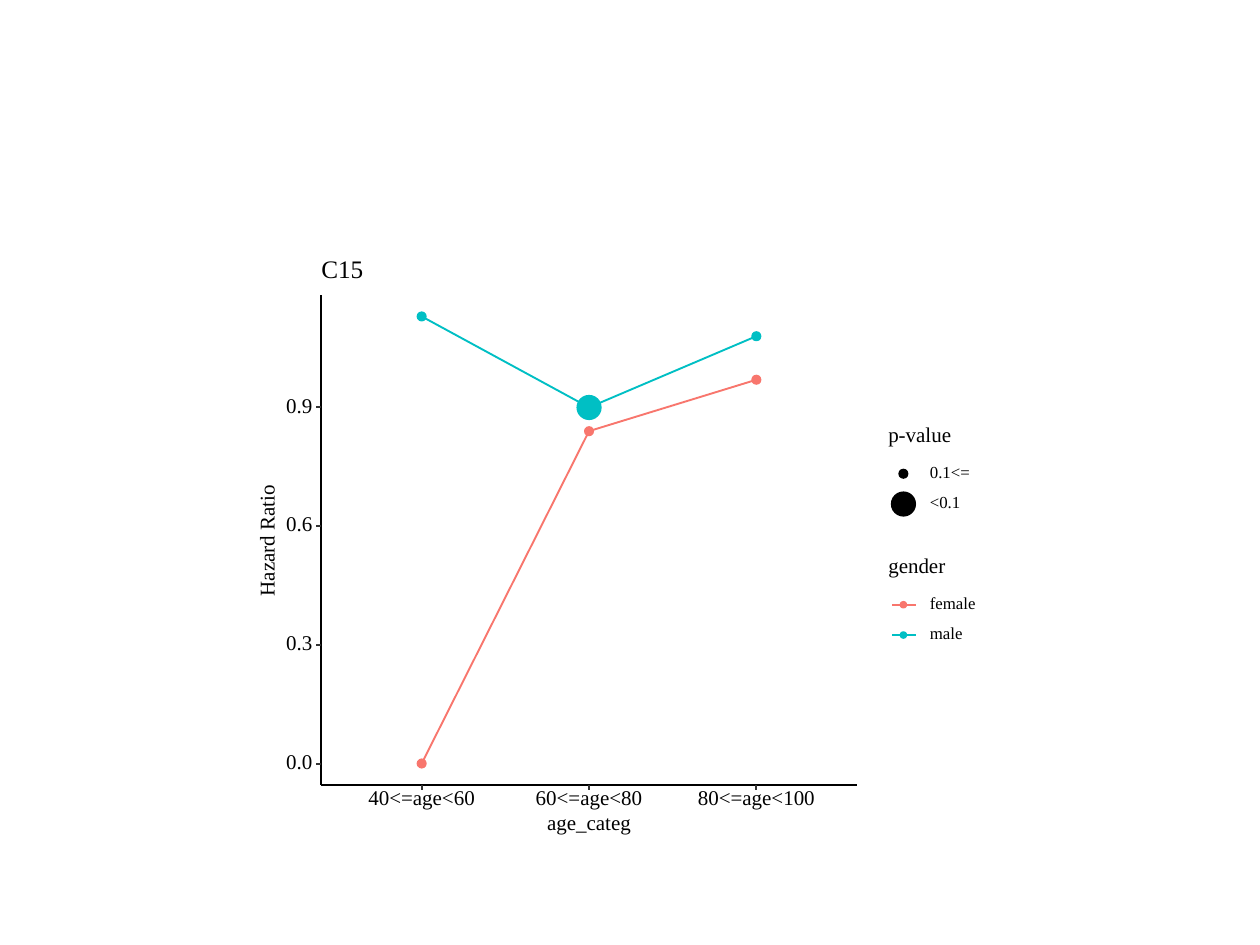
from lxml import etree
from pptx import Presentation
from pptx import util as u
from pptx.dml.color import RGBColor
from pptx.enum import shapes, text
from pptx.oxml.ns import qn

# Content
TITLE, X_TITLE, Y_TITLE = "C15", "age_categ", "Hazard Ratio"
AGES = [("40<=age<60", 0.87), ("60<=age<80", 0.87), ("80<=age<100", 0.95)]
Y_TICKS = [0.0, 0.3, 0.6, 0.9]
SERIES = [  # name, label width, colour, hazard ratios, p < 0.1
    ("female", 0.39, "F8766D", [0, 0.84, 0.97], [False, False, False]),
    ("male", 0.29, "00BFC4", [1.13, 0.9, 1.08], [False, True, False]),
]
P_SIZES = [("0.1<=", 0.35, False), ("<0.1", 0.27, True)]

# Layout in inches
FONT = "Times New Roman"
LEFT, TOP, RIGHT, BOTTOM = 2.55, 2.34, 6.8, 6.23
ZERO_Y, UNIT = 6.06, 3.14
X_STEP = (RIGHT - LEFT) / 3.2  # 0.6 of a step is left free at each end
TICK = 0.04
DOT = {False: 0.07, True: 0.19}
LEGEND_X, LEGEND_ROW = 6.97, 0.24
KEY_X, LABEL_X = LEGEND_X + 0.2, LEGEND_X + 0.41


def rgb(hex_):
    return RGBColor.from_string(hex_)


def x_at(i):
    return LEFT + (0.6 + i) * X_STEP


def y_at(value):
    return ZERO_Y - value * UNIT


def shape(kind, x, y, w, h, fill, line=None, width=0.71):
    s = sp.add_shape(kind, *map(u.Inches, (x, y, w, h)))
    s.shadow.inherit = False
    s.fill.solid()
    s.fill.fore_color.rgb = rgb(fill)
    if line:
        s.line.color.rgb = rgb(line)
        s.line.width = u.Pt(width)
    else:
        s.line.fill.background()


def box(x, y, w, h, line=None):
    shape(shapes.MSO_SHAPE.RECTANGLE, x, y, w, h, "FFFFFF", line, 1.16)


def dot(x, y, d, color):
    shape(shapes.MSO_SHAPE.OVAL, x - d / 2, y - d / 2, d, d, color, color)


def line(x1, y1, x2, y2, color="000000", width=1.07):
    c = sp.add_connector(shapes.MSO_CONNECTOR.STRAIGHT, *map(u.Inches, (x1, y1, x2, y2)))
    c.line.color.rgb = rgb(color)
    c.line.width = u.Pt(width)
    etree.SubElement(c._element.spPr, qn("a:effectLst"))


def label(words, x, y, w, h=0.15, size=12, align="LEFT", rotation=0):
    s = sp.add_textbox(*map(u.Inches, (x, y, w, h)))
    s.rotation = rotation
    tf = s.text_frame
    tf.margin_left = tf.margin_right = tf.margin_top = tf.margin_bottom = 0
    tf.word_wrap = False
    tf.vertical_anchor = text.MSO_ANCHOR.MIDDLE
    p = tf.paragraphs[0]
    p.text = words
    p.alignment = getattr(text.PP_ALIGN, align)
    p.line_spacing = u.Pt(size)
    p.font.name, p.font.size = FONT, u.Pt(size)
    p.font.color.rgb = rgb("000000")


def legend(title, y, w, title_w, rows, draw_key):
    box(LEGEND_X, y, w, 0.88)
    label(title, LEGEND_X + 0.08, y + 0.06, title_w)
    for i, (name, name_w, key) in enumerate(rows):
        row_y = y + 0.43 + i * LEGEND_ROW
        draw_key(row_y, key)
        label(name, LABEL_X, row_y - 0.05, name_w, 0.09, 9.6)


def size_key(y, significant):
    dot(KEY_X, y, DOT[significant], "000000")


def gender_key(y, color):
    line(KEY_X - 0.09, y, KEY_X + 0.1, y, color)
    dot(KEY_X, y, 0.05, color)


prs = Presentation()
prs.slide_width, prs.slide_height = u.Inches(10), u.Inches(7.5)
slide = prs.slides.add_slide(prs.slide_layouts[6])
sp = slide.shapes.add_group_shape().shapes

# Backgrounds
box(2, 2, 5.91, 4.72, "FFFFFF")
box(LEFT, TOP, RIGHT - LEFT, BOTTOM - TOP)

# Series lines, then points above them
for _, _, color, values, _ in SERIES:
    points = [(u.Inches(x_at(i)), u.Inches(y_at(v))) for i, v in enumerate(values)]
    builder = sp.build_freeform(*points[0])
    builder.add_line_segments(points[1:], close=False)
    s = builder.convert_to_shape()
    s.shadow.inherit = False
    s.fill.background()
    s.line.color.rgb = rgb(color)
    s.line.width = u.Pt(1.07)
for i in range(len(AGES)):
    for _, _, color, values, significant in reversed(SERIES):
        dot(x_at(i), y_at(values[i]), DOT[significant[i]], color)

# Vertical axis
line(LEFT, BOTTOM, LEFT, TOP)
for value in Y_TICKS:
    y = y_at(value)
    label(f"{value:.1f}", LEFT - 0.3, y - 0.06, 0.23, 0.11, align="RIGHT")
    line(LEFT - TICK, y, LEFT, y, "333333", 1.16)
label(Y_TITLE, 1.66, 4.23, 0.94, 0.12, align="CENTER", rotation=270)

# Horizontal axis
line(LEFT, BOTTOM, RIGHT, BOTTOM)
for i, (age, w) in enumerate(AGES):
    x = x_at(i)
    line(x, BOTTOM + TICK, x, BOTTOM, "333333", 1.16)
    label(age, x - w / 2, BOTTOM + TICK, w, align="CENTER")
label(X_TITLE, (LEFT + RIGHT - 0.7) / 2, 6.47, 0.7, 0.14, align="CENTER")

# Legends and title
legend("p-value", 3.33, 0.81, 0.53, P_SIZES, size_key)
legend("gender", 4.37, 0.85, 0.48, [row[:3] for row in SERIES], gender_key)
label(TITLE, LEFT, 2.08, 0.37, 0.14, 14.4)

prs.save("out.pptx")
